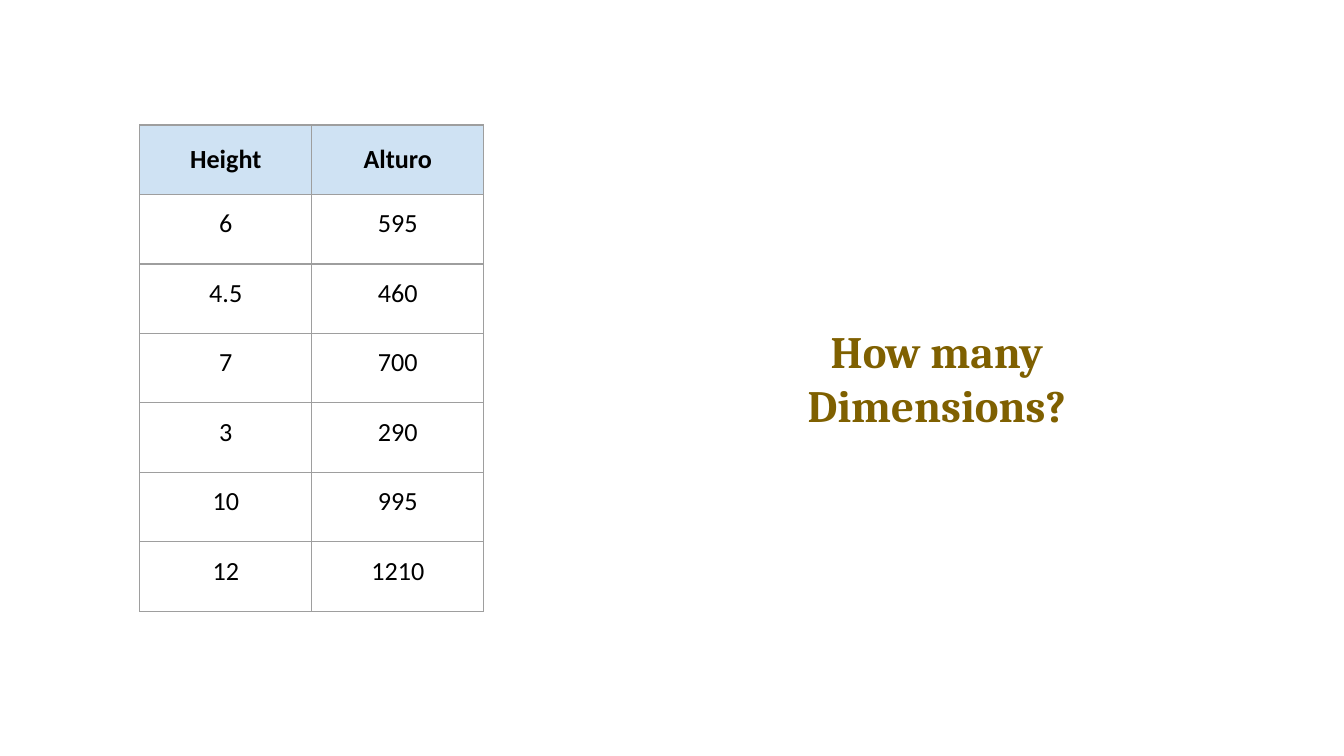
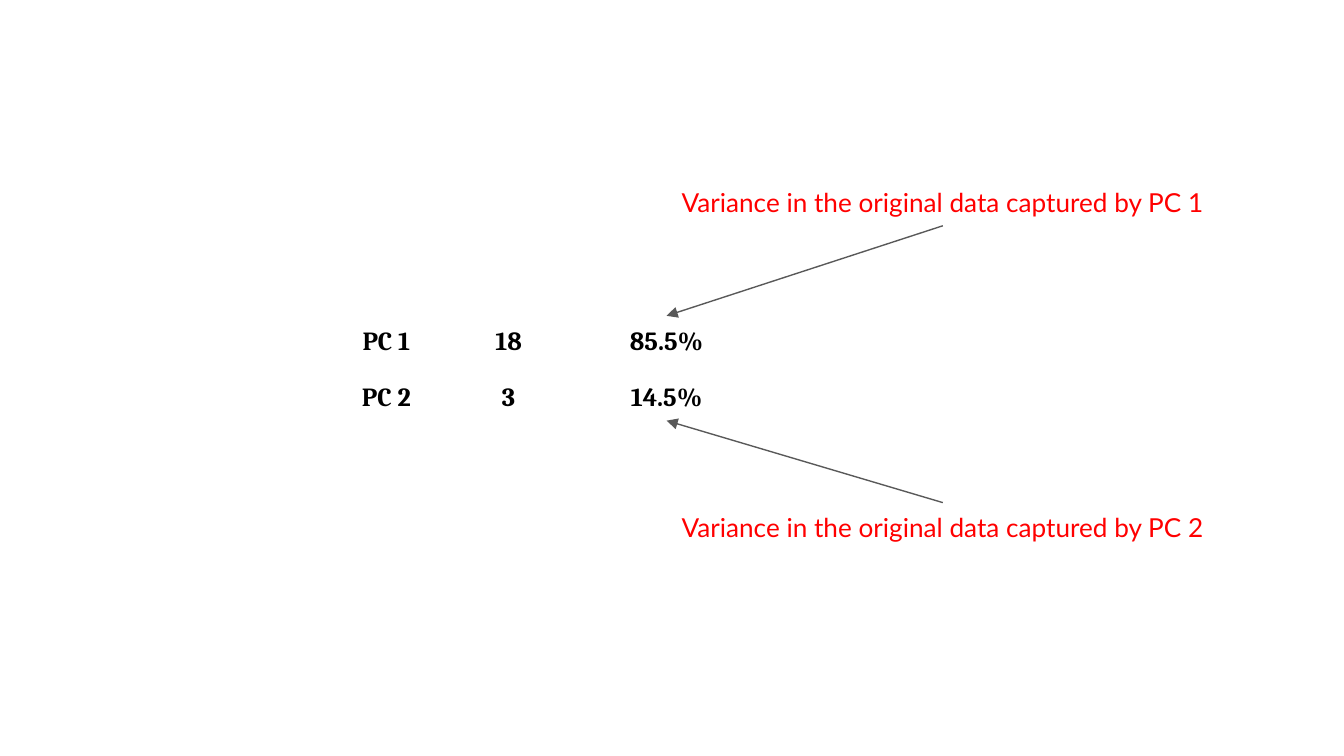
from dataclasses import dataclass

from pptx import Presentation
from pptx.dml.color import RGBColor as Color
from pptx.enum.shapes import MSO_CONNECTOR as Connector
from pptx.enum.text import MSO_ANCHOR as Anchor, MSO_AUTO_SIZE as AutoSize, PP_ALIGN as Align
from pptx.oxml.ns import qn
from pptx.util import Inches, Pt
from lxml.etree import SubElement


@dataclass(frozen=True)
class Theme:
    paper: str = "FFFFFF"
    ink: str = "000000"
    question: str = "7F6000"
    note: str = "FF0000"
    arrow: str = "595959"
    grid: str = "9E9E9E"
    header: str = "CFE2F3"
    table_font: str = "Calibri"
    serif: str = "Cambria"
    note_font: str = "Lato"
    body_size: int = 14
    question_size: int = 24
    line_width: float = 0.75
    inset: float = 0.1


THEME = Theme()
TITLE_ONLY, BLANK = 5, 6

HEIGHTS = [
    ("Height", "Alturo"),
    ("6", "595"),
    ("4.5", "460"),
    ("7", "700"),
    ("3", "290"),
    ("10", "995"),
    ("12", "1210"),
]
COMPONENTS = [("PC 1", "18", "85.5%"), ("PC 2", "3", "14.5%")]
COMPONENT_COLUMNS = [(2.54, 0.67), (3.45, 0.67), (4.37, 1.18)]
COMPONENT_TOPS = [2.35, 2.77]
NOTE_TOPS = [1.32, 3.74]
LABEL_HEIGHT = 0.36
NOTE_LEFT, NOTE_WIDTH = 4.42, 5.19


def add_page(deck, layout):
    page = deck.slides.add_slide(deck.slide_layouts[layout])
    page.background.fill.solid()
    page.background.fill.fore_color.rgb = Color.from_string(THEME.paper)
    return page


def style_text(frame, text, font, size, color, bold):
    frame.text = text
    para = frame.paragraphs[0]
    para.alignment = Align.CENTER
    for span in para.runs:
        span.font.name = font
        span.font.size = Pt(size)
        span.font.bold = bold
        span.font.color.rgb = Color.from_string(color)


def fill_box(box, text, font, color, size=THEME.body_size, bold=True):
    frame = box.text_frame
    frame.word_wrap = True
    frame.auto_size = AutoSize.NONE
    frame.vertical_anchor = Anchor.MIDDLE
    frame.margin_left = frame.margin_right = Inches(THEME.inset)
    frame.margin_top = frame.margin_bottom = Inches(THEME.inset)
    style_text(frame, text, font, size, color, bold)


def add_label(page, left, top, width, text, font=THEME.serif, color=THEME.ink, bold=True):
    box = page.shapes.add_textbox(Inches(left), Inches(top), Inches(width), Inches(LABEL_HEIGHT))
    fill_box(box, text, font, color, bold=bold)


def place_title(page, left, top, width, height, text):
    box = page.shapes.title
    box.left, box.top = Inches(left), Inches(top)
    box.width, box.height = Inches(width), Inches(height)
    fill_box(box, text, THEME.serif, THEME.question, THEME.question_size)


def add_borders(cell):
    properties = cell._tc.get_or_add_tcPr()
    for side in ("a:lnL", "a:lnR", "a:lnT", "a:lnB"):
        line = SubElement(properties, qn(side), w=str(Pt(THEME.line_width)))
        fill = SubElement(line, qn("a:solidFill"))
        SubElement(fill, qn("a:srgbClr"), val=THEME.grid)


def style_cell(cell, text, is_header):
    cell.margin_left = cell.margin_right = Inches(THEME.inset)
    cell.margin_top = cell.margin_bottom = Inches(THEME.inset)
    cell.vertical_anchor = Anchor.MIDDLE if is_header else Anchor.TOP
    add_borders(cell)
    if is_header:
        cell.fill.solid()
        cell.fill.fore_color.rgb = Color.from_string(THEME.header)
    else:
        cell.fill.background()
    style_text(cell.text_frame, text, THEME.table_font, THEME.body_size, THEME.ink, is_header)


def add_grid(page, left, top, column_width, height, rows):
    columns = len(rows[0])
    table = page.shapes.add_table(
        len(rows), columns, Inches(left), Inches(top),
        Inches(column_width * columns), Inches(height),
    ).table
    table.horz_banding = False
    for row_index, values in enumerate(rows):
        for column_index, text in enumerate(values):
            style_cell(table.cell(row_index, column_index), text, row_index == 0)


def add_arrow(page, start, end):
    arrow = page.shapes.add_connector(Connector.STRAIGHT, *map(Inches, start + end))
    arrow.line.color.rgb = Color.from_string(THEME.arrow)
    arrow.line.width = Pt(THEME.line_width)
    SubElement(arrow.line._get_or_add_ln(), qn("a:tailEnd"), type="triangle")
    SubElement(arrow._element.spPr, qn("a:effectLst"))


def build_heights(deck):
    page = add_page(deck, TITLE_ONLY)
    add_grid(page, 1.04, 0.93, 1.28, 3.62, HEIGHTS)
    place_title(page, 5.58, 2.27, 2.78, 1.08, "How many Dimensions?")


def build_variance(deck):
    page = add_page(deck, BLANK)
    share_left, share_width = COMPONENT_COLUMNS[-1]
    share_center = share_left + share_width / 2
    note_center = NOTE_LEFT + NOTE_WIDTH / 2
    for values, top, note_top in zip(COMPONENTS, COMPONENT_TOPS, NOTE_TOPS):
        for text, (left, width) in zip(values, COMPONENT_COLUMNS):
            add_label(page, left, top, width, text)
        note = f"Variance in the original data captured by {values[0]}"
        add_label(page, NOTE_LEFT, note_top, NOTE_WIDTH, note, THEME.note_font, THEME.note, False)
        if note_top < top:
            start_y, end_y = note_top + LABEL_HEIGHT, top
        else:
            start_y, end_y = note_top, top + LABEL_HEIGHT
        add_arrow(page, (note_center, start_y), (share_center, end_y))


def main():
    deck = Presentation()
    deck.slide_width = Inches(10)
    deck.slide_height = deck.slide_width * 9 // 16
    build_heights(deck)
    build_variance(deck)
    deck.save("out.pptx")


if __name__ == "__main__":
    main()
